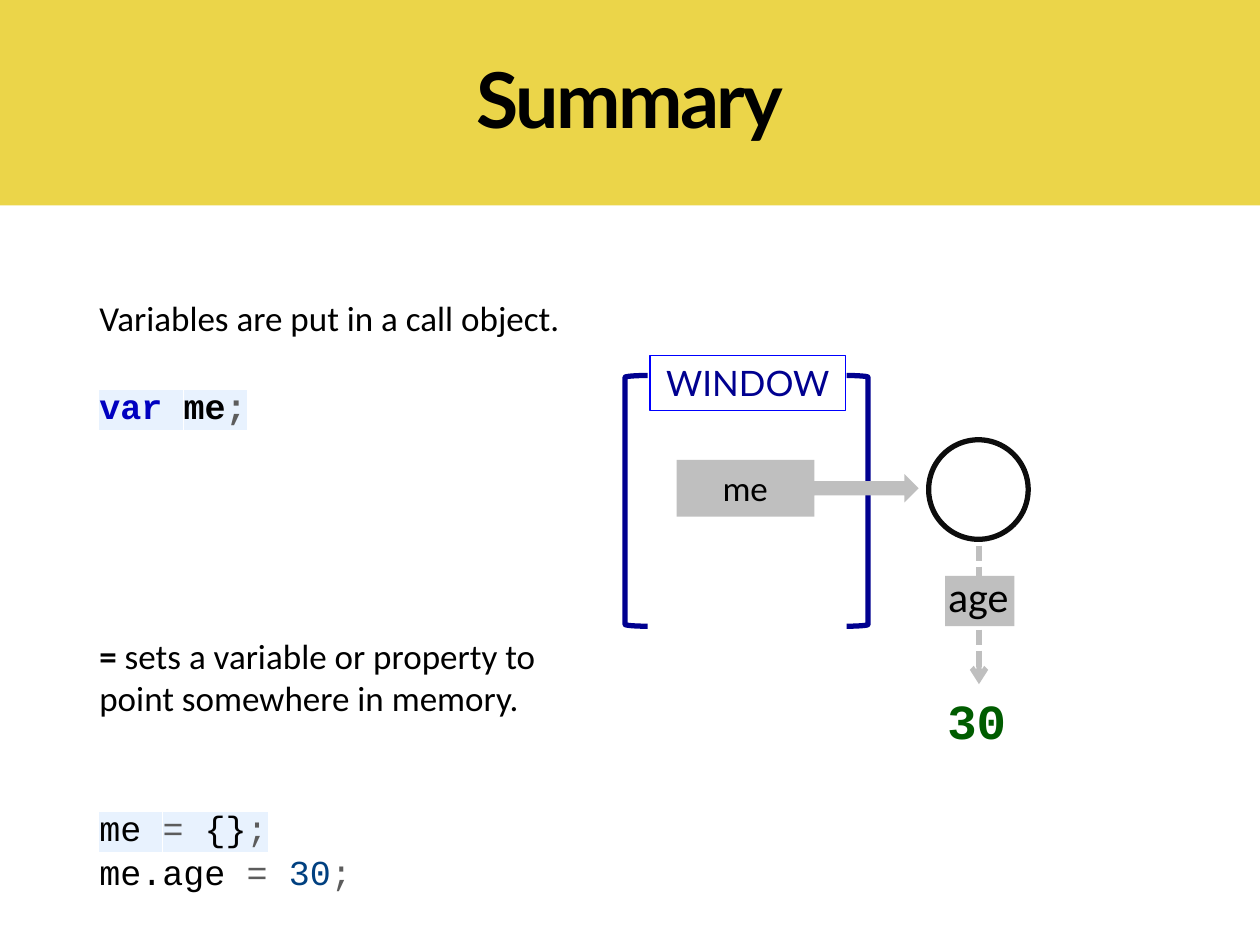
from dataclasses import dataclass
from typing import NamedTuple

from lxml import etree
from pptx import Presentation
from pptx.dml.color import RGBColor
from pptx.enum.dml import MSO_LINE
from pptx.enum.shapes import MSO_CONNECTOR, MSO_SHAPE
from pptx.enum.text import MSO_ANCHOR, MSO_AUTO_SIZE, PP_ALIGN
from pptx.oxml.ns import qn
from pptx.util import Inches, Pt

RECT, OVAL = MSO_SHAPE.RECTANGLE, MSO_SHAPE.OVAL
L_BRACKET, R_BRACKET = MSO_SHAPE.LEFT_BRACKET, MSO_SHAPE.RIGHT_BRACKET
CALLOUT = MSO_SHAPE.RIGHT_ARROW_CALLOUT
STRAIGHT = MSO_CONNECTOR.STRAIGHT
LEFT, CENTER = PP_ALIGN.LEFT, PP_ALIGN.CENTER
TOP, MIDDLE = MSO_ANCHOR.TOP, MSO_ANCHOR.MIDDLE
NO_AUTOFIT = MSO_AUTO_SIZE.NONE
DASH = MSO_LINE.SQUARE_DOT


@dataclass(frozen=True)
class Theme:
    banner: str = "EBD549"
    ink: str = "000000"
    navy: str = "000090"
    frame: str = "0000FF"
    gray: str = "BFBFBF"
    ring: str = "0D0D0D"
    keyword: str = "0000C0"
    symbol: str = "5C5C5C"
    number: str = "004080"
    value: str = "005C00"
    code_back: str = "E8F2FE"
    heading: str = "Lato"
    body: str = "Calibri"
    code: str = "Courier New"
    title_size: float = 44
    value_size: float = 28
    label_size: float = 24
    text_size: float = 20
    thick: float = 3
    thin: float = 0.75


T = Theme()


class Box(NamedTuple):
    x: float
    y: float
    w: float
    h: float

    def emu(self) -> list:
        return [Inches(v) for v in self]


class Run(NamedTuple):
    text: str
    font: str = T.body
    color: str = T.ink
    bold: bool = False
    size: float = T.text_size
    back: str = ""
    spacing: float = 0


class Para(NamedTuple):
    runs: list
    before: float = 0


def code(text: str, color: str = T.ink, bold: bool = False, back: str = T.code_back) -> Run:
    return Run(text, T.code, color, bold, back=back)


def add_run(p, run: Run) -> None:
    r = p.add_run()
    r.text = run.text
    r.font.name, r.font.size, r.font.bold = run.font, Pt(run.size), run.bold
    r.font.color.rgb = RGBColor.from_string(run.color)
    props = r.font._element
    if run.spacing:
        props.set("spc", str(int(run.spacing * 100)))
    if run.back:
        mark = etree.Element(qn("a:highlight"))
        etree.SubElement(mark, qn("a:srgbClr"), val=run.back)
        props.find(qn("a:solidFill")).addnext(mark)


def write(sp, paras: list, align=LEFT, anchor=TOP) -> None:
    tf = sp.text_frame
    tf.word_wrap, tf.auto_size, tf.vertical_anchor = True, NO_AUTOFIT, anchor
    for i, para in enumerate(paras):
        p = tf.add_paragraph() if i else tf.paragraphs[0]
        p.alignment, p.space_before = align, Pt(para.before)
        for run in para.runs:
            add_run(p, run)


def paint(sp, fill: str = "", line: str = "", width: float = T.thin) -> None:
    if fill:
        sp.fill.solid()
        sp.fill.fore_color.rgb = RGBColor.from_string(fill)
    else:
        sp.fill.background()
    if line:
        sp.line.color.rgb = RGBColor.from_string(line)
        sp.line.width = Pt(width)
    else:
        sp.line.fill.background()


def add_shape(s, kind, box: Box, **look):
    sp = s.shapes.add_shape(kind, *box.emu())
    sp.shadow.inherit = False
    paint(sp, **look)
    return sp


def add_text(s, box: Box, paras: list, align=LEFT) -> None:
    write(s.shapes.add_textbox(*box.emu()), paras, align)


def add_dashed_arrow(s, x: float, top: float, bottom: float) -> None:
    c = s.shapes.add_connector(STRAIGHT, Inches(x), Inches(top), Inches(x), Inches(bottom))
    c.line.color.rgb = RGBColor.from_string(T.gray)
    c.line.width, c.line.dash_style = Pt(T.thick), DASH
    etree.SubElement(c.line._get_or_add_ln(), qn("a:tailEnd"), type="arrow")
    etree.SubElement(c._element.spPr, qn("a:effectLst"))


EXPLANATION = [
    Para([Run("Variables are put in a call object.")]),
    Para([code("var ", T.keyword, True), code("me", bold=True), code(";", T.symbol, True)], 26.4),
    Para([Run("=", bold=True), Run(" sets a variable or property to")], 119),
    Para([Run("point somewhere in memory.")]),
    Para([code("me "), code("= ", T.symbol), code("{}"), code(";", T.symbol)], 50.3),
    Para([code("me.age ", back=""), code("= ", T.symbol, back=""),
          code("30", T.number, back=""), code(";", T.symbol, back="")], 1.3),
]


def main() -> None:
    prs = Presentation()
    prs.slide_width, prs.slide_height = Inches(10), Inches(7.5)
    s = prs.slides.add_slide(prs.slide_layouts[5])

    # Title on its banner, with the banner sent to the back
    banner = add_shape(s, RECT, Box(0, 0, 10, 1.63), fill=T.banner)
    s.shapes._spTree.insert(2, banner._element)
    title = s.shapes.title
    title.left, title.top, title.width, title.height = Box(0, 0, 10, 1.55).emu()
    paint(title, fill=T.banner, line=T.banner)
    heading = Run("Summary", T.heading, bold=True, size=T.title_size, spacing=-1.5)
    write(title, [Para([heading])], CENTER, MIDDLE)

    # Explanation and code
    add_text(s, Box(0.69, 2.3, 3.92, 4.81), EXPLANATION)

    # Call object: brackets and name
    for kind, x, w in ((L_BRACKET, 4.96, 0.18), (R_BRACKET, 6.72, 0.17)):
        add_shape(s, kind, Box(x, 2.98, w, 1.99), line=T.navy, width=T.thick)
    window = add_shape(s, RECT, Box(5.16, 2.82, 1.55, 0.44), line=T.frame)
    write(window, [Para([Run("WINDOW", T.heading, T.navy)])], CENTER)

    # Variable pointing at the object
    callout = add_shape(s, CALLOUT, Box(5.37, 3.65, 1.92, 0.45), fill=T.gray)
    for i, value in enumerate((0.25, 0.25, 0.25, 0.57)):
        callout.adjustments[i] = value
    add_text(s, Box(5.4, 3.65, 1.03, 0.44), [Para([Run("me")])], CENTER)

    # Property pointing at its value
    value = Run("30", T.code, T.value, True, T.value_size)
    add_text(s, Box(7.42, 5.43, 0.68, 0.57), [Para([value])])
    add_shape(s, RECT, Box(7.5, 4.57, 0.55, 0.4), fill=T.gray)
    add_dashed_arrow(s, 7.77, 4.33, 5.43)
    add_text(s, Box(7.25, 4.48, 1.03, 0.5), [Para([Run("age", size=T.label_size)])], CENTER)

    # The object itself
    add_shape(s, OVAL, Box(7.37, 3.49, 0.79, 0.79), line=T.ring, width=T.thick)

    prs.save("out.pptx")


if __name__ == "__main__":
    main()
